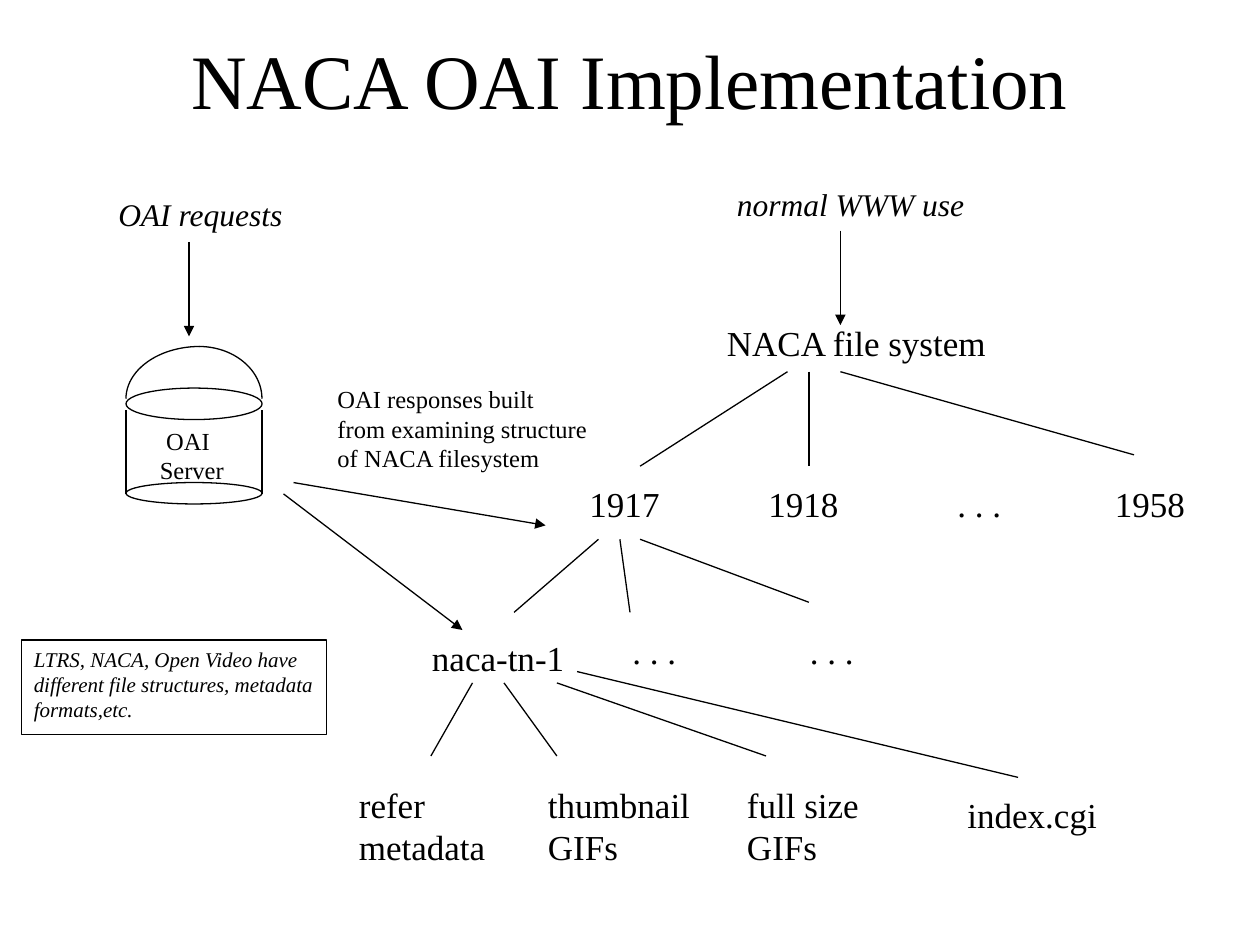
from pptx import Presentation
from pptx.dml.color import RGBColor
from pptx.enum.shapes import MSO_CONNECTOR, MSO_SHAPE
from pptx.enum.text import MSO_ANCHOR, MSO_AUTO_SIZE as FIT, PP_ALIGN
from pptx.oxml.ns import qn
from pptx.util import Inches, Pt
from lxml.etree import SubElement

BLACK = RGBColor(0x00, 0x00, 0x00)
FONT = "Times New Roman"
LINE_WIDTH = Pt(0.75)


class Diagram:
    def __init__(self, prs):
        self.slide = prs.slides.add_slide(prs.slide_layouts[5])
        self.shapes = self.slide.shapes

    def style_font(self, p, size, italic=False):
        style = {"name": FONT, "size": Pt(size), "italic": italic}
        for name, value in style.items():
            setattr(p.font, name, value)
        p.font.color.rgb = BLACK

    def title(self, text, x, y, w, h):
        sp = self.shapes.title
        sp.left, sp.top, sp.width, sp.height = map(Inches, (x, y, w, h))
        tf = sp.text_frame
        tf.text = text
        tf.vertical_anchor = MSO_ANCHOR.MIDDLE
        p = tf.paragraphs[0]
        p.alignment = PP_ALIGN.CENTER
        self.style_font(p, 44)

    def label(self, x, y, w, *lines, size=20, italic=False):
        h = 0.1 + len(lines) * size * 1.2 / 72
        tf = self.shapes.add_textbox(*map(Inches, (x, y, w, h))).text_frame
        tf.word_wrap = False
        tf.auto_size = FIT.SHAPE_TO_FIT_TEXT
        # The narrow right margin leaves slack, so tight labels stay on one line.
        tf.margin_right = Inches(0.04)
        for i, line in enumerate(lines):
            p = tf.add_paragraph() if i else tf.paragraphs[0]
            p.text = line
            self.style_font(p, size, italic)
        return tf

    def line(self, start, end, arrow=False):
        s = self.shapes.add_connector(MSO_CONNECTOR.STRAIGHT,
                                      *map(Inches, (*start, *end)))
        s.line.color.rgb = BLACK
        s.line.width = LINE_WIDTH
        if arrow:
            SubElement(s.line._get_or_add_ln(), qn("a:tailEnd"), type="triangle")
        SubElement(s._element.spPr, qn("a:effectLst"))

    def outline(self, kind, x, y, w, h):
        sp = self.shapes.add_shape(kind, *map(Inches, (x, y, w, h)))
        sp.shadow.inherit = False
        sp.fill.background()
        sp.line.color.rgb = BLACK
        sp.line.width = LINE_WIDTH
        return sp

    def arc(self, x, y, w, h, start, end):
        """Draw an arc of an ellipse, clockwise between two angles in degrees."""
        sp = self.outline(MSO_SHAPE.ARC, x, y, w, h)
        # Preset angles are 60000ths of a degree; adjustments are in 100000ths.
        for i, angle in enumerate((start, end)):
            sp.adjustments[i] = angle * 0.6


def draw_file_tree(d):
    d.label(5.67, 2.5, 2.27, "NACA file system")
    for x, year in ((4.58, "1917"), (6, "1918"), (8.75, "1958")):
        d.label(x, 3.78, 0.75, year)
    for x, y in ((7.5, 3.78), (4.92, 4.95), (6.33, 4.95)):
        d.label(x, y, 0.55, ". . .")
    d.label(3.33, 5, 1.25, "naca-tn-1")
    d.label(2.75, 6.17, 1.2, "refer", "metadata")
    d.label(4.25, 6.17, 1.33, "thumbnail", "GIFs")
    d.label(5.83, 6.17, 1.09, "full size", "GIFs")
    d.label(7.58, 6.25, 1.23, "index.cgi")

    branches = [
        ((6.25, 2.95), (5.08, 3.7)),
        ((6.42, 2.95), (6.42, 3.7)),
        ((6.67, 2.95), (9, 3.61)),
        ((4.75, 4.28), (4.08, 4.86)),
        ((4.92, 4.28), (5, 4.86)),
        ((5.08, 4.28), (6.42, 4.78)),
        ((3.75, 5.42), (3.42, 6)),
        ((4, 5.42), (4.42, 6)),
        ((4.42, 5.42), (6.08, 6)),
        ((4.58, 5.33), (8.08, 6.17)),
    ]
    for start, end in branches:
        d.line(start, end)


def draw_server(d):
    left, width = 1, 1.08
    for y, h in ((3.08, 0.25), (3.83, 0.17)):
        d.outline(MSO_SHAPE.OVAL, left, y, width, h)
    for x in (left, left + width):
        d.line((x, 3.92), (x, 3.25))
    d.arc(left, 2.75, 1.17, 0.83, 180, 270)
    d.arc(1.08, 2.75, 1, 0.83, 270, 0)
    tf = d.label(1.17, 3.33, 0.71, "OAI", "Server", size=14)
    pPr = tf.paragraphs[0]._p.get_or_add_pPr()
    pPr.set("marL", str(Inches(0.05)))
    pPr.set("indent", "0")


def draw_requests(d):
    d.label(5.75, 1.42, 2, "normal WWW use", size=18, italic=True)
    d.label(0.84, 1.5, 1.51, "OAI requests", size=18, italic=True)
    d.label(2.58, 3, 2.18, "OAI responses built", "from examining structure",
            "of NACA filesystem", size=14)
    arrows = [
        ((6.67, 1.83), (6.67, 2.58)),
        ((1.5, 1.92), (1.5, 2.67)),
        ((2.33, 3.83), (4.33, 4.17)),
        ((2.25, 3.92), (3.67, 5)),
    ]
    for start, end in arrows:
        d.line(start, end, arrow=True)


def draw_note(d):
    d.label(0.17, 5.08, 2.47, "LTRS, NACA, Open Video have",
            "different file structures, metadata", "formats,etc.",
            size=12, italic=True)
    d.outline(MSO_SHAPE.RECTANGLE, 0.17, 5.08, 2.42, 0.75)


def main():
    prs = Presentation()
    prs.slide_width, prs.slide_height = Inches(10), Inches(7.5)
    d = Diagram(prs)
    d.title("NACA OAI Implementation", 0.75, 0, 8.5, 1.25)
    draw_file_tree(d)
    draw_requests(d)
    draw_server(d)
    draw_note(d)
    prs.save("out.pptx")


if __name__ == "__main__":
    main()
